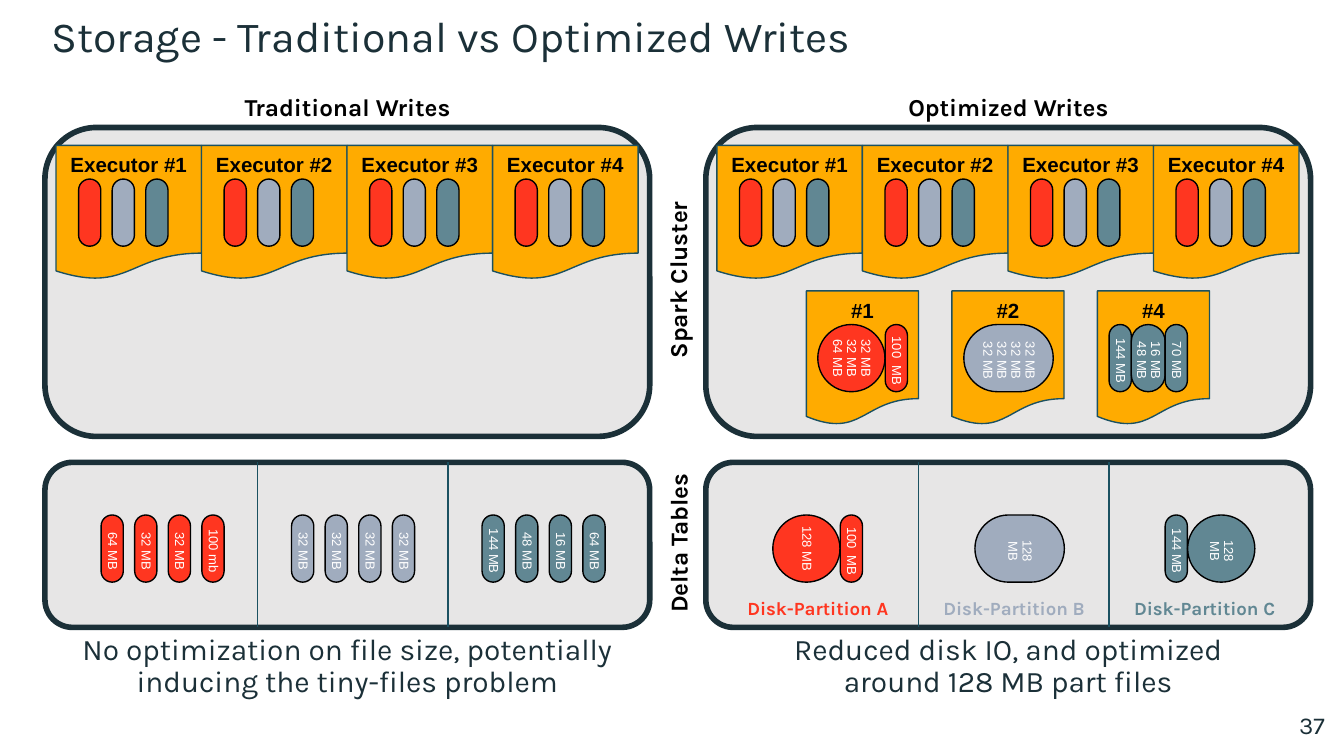
from copy import deepcopy
from dataclasses import dataclass

from lxml.etree import SubElement
from pptx import Presentation
from pptx.dml.color import RGBColor
from pptx.enum.shapes import MSO_CONNECTOR, MSO_SHAPE
from pptx.enum.text import MSO_ANCHOR, MSO_AUTO_SIZE, PP_ALIGN
from pptx.oxml.ns import qn
from pptx.util import Cm, Pt


@dataclass(frozen=True)
class Theme:
    """Colours, fonts and type sizes of the slide."""
    ink: str = "1B3038"
    edge: str = "1B5161"
    black: str = "000000"
    white: str = "FFFFFF"
    panel: str = "E7E6E6"
    executor: str = "FFAB00"
    red: str = "FF3620"
    grey: str = "A0ACBE"
    teal: str = "618793"
    text_font: str = "Karla"
    shape_font: str = "Arial"
    title: int = 23
    caption: int = 16
    heading: int = 13
    executor_label: int = 11
    partition: int = 10
    file_size: int = 7


THEME = Theme()
PARTITION_COLORS = (THEME.red, THEME.grey, THEME.teal)
PANEL_LEFTS = (0.85, 13.34)
PANEL_WIDTH = 11.43
CLUSTER_TOP, CLUSTER_HEIGHT = 2.41, 5.84
TABLE_TOP, TABLE_HEIGHT = 8.74, 3.12
EXECUTOR_PITCH, EXECUTOR_HEIGHT = 2.75, 2.54
PARTITION_PITCH = 3.6
FILE_LENGTH, SLIM, MEDIUM, ROUND, WIDE = 1.27, 0.42, 0.64, 1.27, 1.69
FILE_PITCH = FILE_LENGTH / 2
EXECUTOR_FILES_Y, SHUFFLED_Y, TABLE_FILES_Y = 4.02, 6.77, 10.37


def apply(target, values):
    """Set each named attribute on the target."""
    for name, value in values.items():
        setattr(target, name, value)


def box(left, top, width, height):
    """Return the four lengths of a box given in centimetres."""
    return [Cm(value) for value in (left, top, width, height)]


def write(holder, paragraphs, size, color, font=THEME.text_font, bold=False,
          align=PP_ALIGN.CENTER, anchor=MSO_ANCHOR.MIDDLE, insets=(0, 0, 0, 0),
          spacing=1.0, indent=0):
    """Fill a text holder with evenly formatted paragraphs."""
    frame = holder.text_frame
    sides = ("margin_left", "margin_top", "margin_right", "margin_bottom")
    apply(frame, {"word_wrap": True, "auto_size": MSO_AUTO_SIZE.NONE, "vertical_anchor": anchor,
                  **dict(zip(sides, (Cm(inset) for inset in insets)))})
    for index, words in enumerate(paragraphs):
        paragraph = frame.add_paragraph() if index else frame.paragraphs[0]
        paragraph.text = words
        apply(paragraph, {"alignment": align, "line_spacing": spacing, "space_before": Pt(0)})
        if indent:
            paragraph._p.get_or_add_pPr().set("marL", str(Cm(indent)))
        for run in paragraph.runs:
            apply(run.font, {"name": font, "size": Pt(size), "bold": bold})
            run.font.color.rgb = RGBColor.from_string(color)
        for line_break in paragraph._p.findall(qn("a:br")):
            line_break.append(deepcopy(paragraph.runs[0]._r.rPr))


def add_placeholder(slide, index, place, paragraphs, size, color, **style):
    """Move a template placeholder and fill it without bullets."""
    holder = slide.placeholders[index]
    apply(holder, dict(zip(("left", "top", "width", "height"), box(*place))))
    write(holder, paragraphs, size, color, **style)
    for paragraph in holder.text_frame.paragraphs:
        properties = paragraph._p.get_or_add_pPr()
        apply_indent = {"marL": "0", "indent": "0"}
        for name, value in apply_indent.items():
            properties.set(name, value)
        SubElement(properties, qn("a:buNone"))


def add_label(slide, place, words, size, color, rotation=0, **style):
    """Add a text box with one paragraph."""
    label = slide.shapes.add_textbox(*box(*place))
    label.rotation = rotation
    write(label, [words], size, color, **style)


def add_block(slide, kind, place, fill, line, line_width=0.75):
    """Add a filled and outlined preset shape."""
    block = slide.shapes.add_shape(kind, *box(*place))
    block.shadow.inherit = False
    block.fill.solid()
    block.fill.fore_color.rgb = RGBColor.from_string(fill)
    block.line.color.rgb = RGBColor.from_string(line)
    block.line.width = Pt(line_width)
    return block


def add_panel(slide, left, top, height):
    """Add a rounded grey panel."""
    add_block(slide, MSO_SHAPE.ROUNDED_RECTANGLE, (left, top, PANEL_WIDTH, height),
              THEME.panel, THEME.ink, 3)


def add_divider(slide, x):
    """Add a vertical line between two disk partitions."""
    ends = [Cm(value) for value in (x, TABLE_TOP, x, TABLE_TOP + TABLE_HEIGHT)]
    divider = slide.shapes.add_connector(MSO_CONNECTOR.STRAIGHT, *ends)
    divider.line.color.rgb = RGBColor.from_string(THEME.edge)
    divider.line.width = Pt(0.75)
    SubElement(divider._element.spPr, qn("a:effectLst"))


def add_executor(slide, left, top, width, name):
    """Add a named executor card."""
    card = add_block(slide, MSO_SHAPE.FLOWCHART_DOCUMENT, (left, top, width, EXECUTOR_HEIGHT),
                     THEME.executor, THEME.edge)
    write(card, [name], THEME.executor_label, THEME.black, font=THEME.shape_font, bold=True,
          anchor=MSO_ANCHOR.TOP, insets=(0, 0.13, 0, 0))


def add_file(slide, x, y, color, thickness=SLIM, sizes=(), indent=0.1):
    """Add an upright data file centred on a point."""
    place = (x - FILE_LENGTH / 2, y - thickness / 2, FILE_LENGTH, thickness)
    data_file = add_block(slide, MSO_SHAPE.ROUNDED_RECTANGLE, place, color, THEME.black)
    data_file.adjustments[0] = 0.5
    data_file.rotation = 90
    if sizes:
        write(data_file, sizes, THEME.file_size, THEME.white, font=THEME.shape_font,
              spacing=0.9, indent=indent)


def add_side(slide, left):
    """Add the panels, executors and dividers shared by both sides."""
    add_panel(slide, left, CLUSTER_TOP, CLUSTER_HEIGHT)
    add_panel(slide, left, TABLE_TOP, TABLE_HEIGHT)
    for number in range(4):
        card_left = left + 0.21 + number * EXECUTOR_PITCH
        add_executor(slide, card_left, 2.75, EXECUTOR_PITCH, f"Executor #{number + 1}")
        for order, color in enumerate(PARTITION_COLORS, start=1):
            add_file(slide, card_left + order * FILE_PITCH, EXECUTOR_FILES_Y, color)
    for order in range(2):
        add_divider(slide, left + 4.02 + order * PARTITION_PITCH)


def add_traditional_files(slide, left):
    """Add the many small files of the traditional table."""
    partitions = (("64 MB", "32 MB", "32 MB", "100 mb"), ("32 MB",) * 4,
                  ("144 MB", "48 MB", "16 MB", "64 MB"))
    for group, (color, sizes) in enumerate(zip(PARTITION_COLORS, partitions)):
        for order, size in enumerate(sizes):
            x = left + 1.27 + group * PARTITION_PITCH + order * FILE_PITCH
            add_file(slide, x, TABLE_FILES_Y, color, sizes=[size])


def add_optimized_files(slide, left):
    """Add the shuffled executors, the merged files and the partition names."""
    for order, name in enumerate(("#1", "#2", "#4")):
        add_executor(slide, left + 1.9 + order * EXECUTOR_PITCH, 5.5, 2.12, name)
    red, grey, teal = PARTITION_COLORS
    files = (
        (2.75, SHUFFLED_Y, red, ROUND, ["32 MB\v32 MB\v64 MB"], 0),
        (3.6, SHUFFLED_Y, red, SLIM, ["100  MB"]),
        (5.72, SHUFFLED_Y, grey, WIDE, ["32 MB\v32 MB\v32 MB", "32 MB"]),
        (7.83, SHUFFLED_Y, teal, SLIM, ["144 MB"]),
        (8.36, SHUFFLED_Y, teal, MEDIUM, ["16 MB\v48 MB"]),
        (8.89, SHUFFLED_Y, teal, SLIM, ["70 MB"]),
        (1.9, TABLE_FILES_Y, red, ROUND, ["128 MB"], 0),
        (2.75, TABLE_FILES_Y, red, SLIM, ["100  MB"]),
        (5.93, TABLE_FILES_Y, grey, WIDE, ["128 MB"]),
        (8.89, TABLE_FILES_Y, teal, SLIM, ["144 MB"]),
        (9.74, TABLE_FILES_Y, teal, ROUND, ["128 MB"]),
    )
    for offset, *details in files:
        add_file(slide, left + offset, *details)
    for offset, letter, color in zip((0.74, 4.45, 8.05), "ABC", PARTITION_COLORS):
        add_label(slide, (left + offset, 11.28, 2.75, 0.38), f"Disk-Partition {letter}",
                  THEME.partition, color, bold=True, anchor=MSO_ANCHOR.TOP)


def main():
    """Build the slide and save it."""
    deck = Presentation()
    apply(deck, {"slide_width": Cm(25.4), "slide_height": Cm(14.29)})
    slide = deck.slides.add_slide(deck.slide_layouts.get_by_name("Comparison"))

    add_placeholder(slide, 0, (0.97, 0.2, 23.47, 1.06),
                    ["Storage - Traditional vs Optimized Writes"], THEME.title, THEME.ink,
                    align=PP_ALIGN.LEFT, insets=(0, 0.1, 0, 0.1), spacing=0.9)
    headings = ("Traditional Writes", "Optimized Writes")
    captions = (["No optimization on file size, potentially inducing the tiny-files problem"],
                ["Reduced disk IO, and optimized", "around 128 MB part files"])
    for side, (left, heading, caption) in enumerate(zip(PANEL_LEFTS, headings, captions)):
        add_placeholder(slide, 1 + 2 * side, (left, 1.69, PANEL_WIDTH, 0.64), [heading],
                        THEME.heading, THEME.black, bold=True, insets=(0.18,) * 4)
        add_placeholder(slide, 2 + 2 * side, (left, 12.07, PANEL_WIDTH, 1.06), caption,
                        THEME.caption, THEME.ink, insets=(0, 0.1, 0, 0.1), spacing=0.9)
        add_side(slide, left)
    add_traditional_files(slide, PANEL_LEFTS[0])
    add_optimized_files(slide, PANEL_LEFTS[1])

    rows = (("Spark Cluster", (9.84, 4.76, 5.93, 1.06)), ("Delta Tables", (11.22, 9.74, 3.18, 1.06)))
    for name, place in rows:
        add_label(slide, place, name, THEME.heading, THEME.black, rotation=270, bold=True,
                  insets=(0.18,) * 4)
    add_label(slide, (23.77, 13.18, 1.52, 1.09), "37", THEME.heading, THEME.ink,
              align=PP_ALIGN.RIGHT, anchor=MSO_ANCHOR.TOP, insets=(0.25,) * 4)
    deck.save("out.pptx")


if __name__ == "__main__":
    main()
